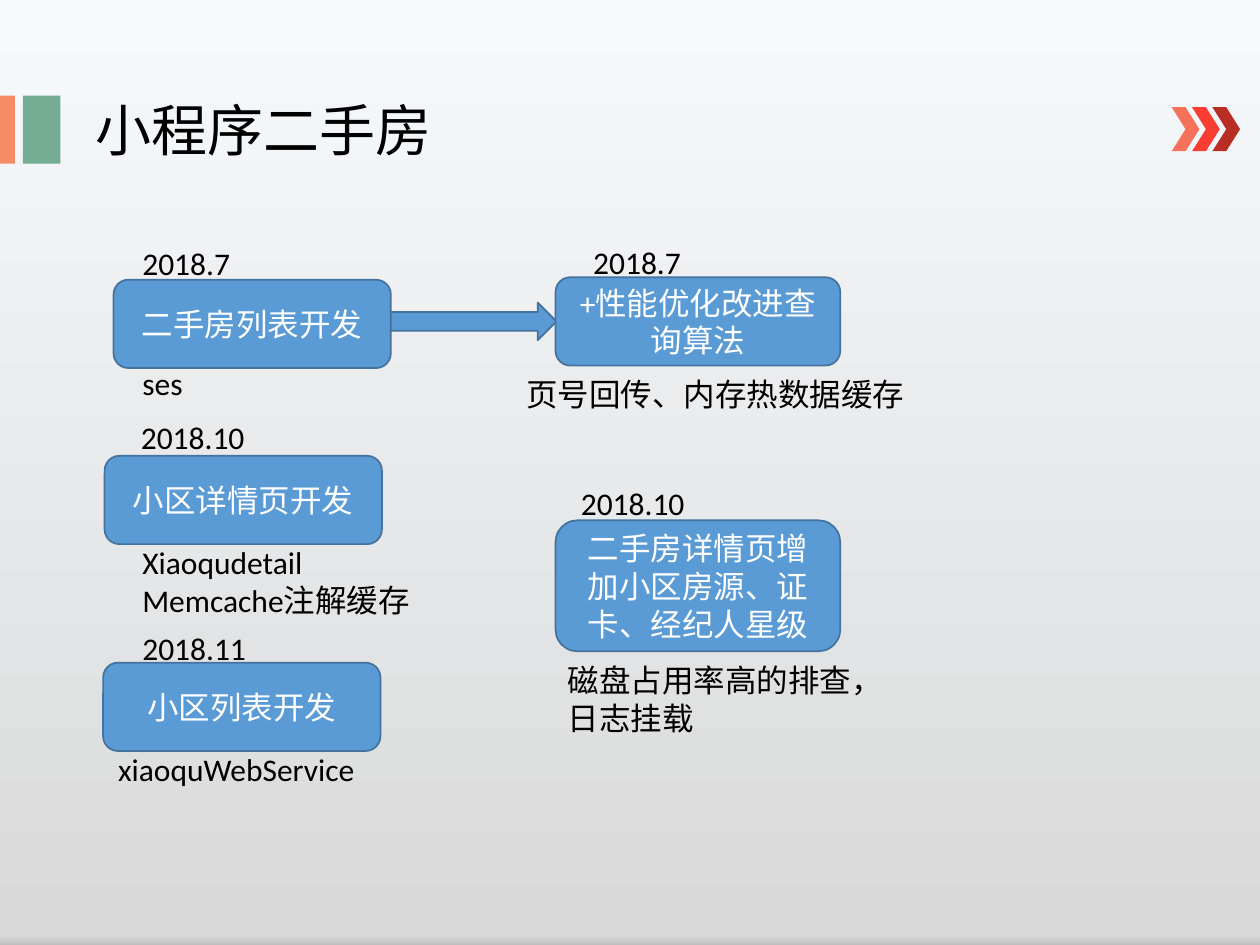
from copy import deepcopy
from dataclasses import dataclass

from pptx import Presentation
from pptx.dml.color import RGBColor
from pptx.enum.shapes import MSO_SHAPE
from pptx.enum.text import MSO_ANCHOR, MSO_AUTO_SIZE, PP_ALIGN
from pptx.oxml.ns import qn
from pptx.util import Cm, Pt


@dataclass(frozen=True)
class Theme:
    font: str = "Calibri"
    title: int = 32
    body: int = 18
    ink: str = "000000"
    white: str = "FFFFFF"
    box: str = "5B9BD5"
    edge: str = "43739E"
    bars: tuple = ("F58C65", "74AD93")
    marks: tuple = ("F5715B", "F93D32", "B82E24")
    sky: tuple = ((0, "F7FAFD"), (0.99, "D9D9D9"), (1, "BFBFBF"))


class Deck:
    def __init__(self, theme):
        self.theme = theme
        self.show = Presentation()
        self.show.slide_width, self.show.slide_height = Cm(25.4), Cm(19.05)
        self.slide = self.show.slides.add_slide(self.show.slide_layouts[6])

    def sky(self):
        """Fill the background with the vertical gradient."""
        fill = self.slide.background.fill
        fill.gradient()
        fill.gradient_angle = 270
        stops = self.slide.element.find(".//" + qn("a:gsLst"))
        stops.append(deepcopy(stops[-1]))
        for stop, (place, color) in zip(fill.gradient_stops, self.theme.sky):
            stop.position = place
            stop.color.rgb = RGBColor.from_string(color)

    def shape(self, kind, spot, color, edge=None):
        item = self.slide.shapes.add_shape(kind, *map(Cm, spot))
        item.shadow.inherit = False
        item.fill.solid()
        item.fill.fore_color.rgb = RGBColor.from_string(color)
        if edge:
            item.line.color.rgb = RGBColor.from_string(edge)
            item.line.width = Pt(1)
        else:
            item.line.fill.background()
        return item

    def group(self, items):
        self.slide.shapes.add_group_shape(items)

    def style(self, frame, text, size, color, align):
        """Set the text of a frame and format its runs."""
        frame.text = text
        for para in frame.paragraphs:
            para.alignment = align
            for run in para.runs:
                run.font.name = self.theme.font
                run.font.size = Pt(size)
                run.font.color.rgb = RGBColor.from_string(color)

    def box(self, text, spot):
        look = self.theme
        item = self.shape(MSO_SHAPE.ROUNDED_RECTANGLE, spot, look.box, look.edge)
        frame = item.text_frame
        frame.word_wrap = True
        frame.vertical_anchor = MSO_ANCHOR.MIDDLE
        self.style(frame, text, look.body, look.white, PP_ALIGN.CENTER)

    def arrow(self, spot):
        self.shape(MSO_SHAPE.RIGHT_ARROW, spot, self.theme.box, self.theme.edge)

    def label(self, text, spot, wrap=True, size=None):
        frame = self.slide.shapes.add_textbox(*map(Cm, spot)).text_frame
        frame.word_wrap = wrap
        frame.auto_size = MSO_AUTO_SIZE.SHAPE_TO_FIT_TEXT
        self.style(frame, text, size or self.theme.body, self.theme.ink, PP_ALIGN.LEFT)


def main():
    look = Theme()
    deck = Deck(look)
    deck.sky()

    spans = ((0, 0.3), (0.46, 0.76))
    deck.group([deck.shape(MSO_SHAPE.RECTANGLE, (left, 1.93, wide, 1.37), color)
                for (left, wide), color in zip(spans, look.bars)])
    deck.label("小程序二手房", (1.68, 1.8, 14.83, 1.63), size=look.title)
    deck.group([deck.shape(MSO_SHAPE.CHEVRON, (23.62 + 0.41 * i, 2.16, 0.56, 0.89), color)
                for i, color in enumerate(look.marks)])

    deck.arrow((7.87, 6.1, 3.35, 0.76))
    steps = (
        ("二手房列表开发", 2.29, 5.64, 5.59, 1.78),
        ("+性能优化改进查询算法", 11.2, 5.59, 5.74, 1.78),
        ("小区详情页开发", 2.11, 9.19, 5.59, 1.78),
        ("小区列表开发", 2.08, 13.36, 5.59, 1.78),
        ("二手房详情页增加小区房源、证卡、经纪人星级", 11.2, 10.49, 5.74, 2.64),
    )
    for text, *spot in steps:
        deck.box(text, spot)

    dates = (
        ("2018.7", 2.62, 4.8, True),
        ("2018.7", 11.71, 4.78, True),
        ("2018.10", 2.59, 8.31, False),
        ("2018.11", 2.62, 12.55, False),
        ("2018.10", 11.46, 9.63, False),
    )
    for text, left, top, wrap in dates:
        deck.label(text, (left, top, 3.73 if wrap else 2.62, 1.02), wrap)

    notes = (
        ("ses", (2.62, 7.21, 3.73, 1.02), True),
        ("页号回传、内存热数据缓存", (10.36, 7.44, 8.2, 1.02), False),
        ("Xiaoqudetail\nMemcache注解缓存", (2.62, 10.82, 6.99, 1.8), True),
        ("xiaoquWebService", (2.13, 14.99, 6.15, 1.02), True),
        ("磁盘占用率高的排查，\n日志挂载", (11.2, 13.21, 6.93, 1.8), False),
    )
    for text, spot, wrap in notes:
        deck.label(text, spot, wrap)

    deck.show.save("out.pptx")


if __name__ == "__main__":
    main()
